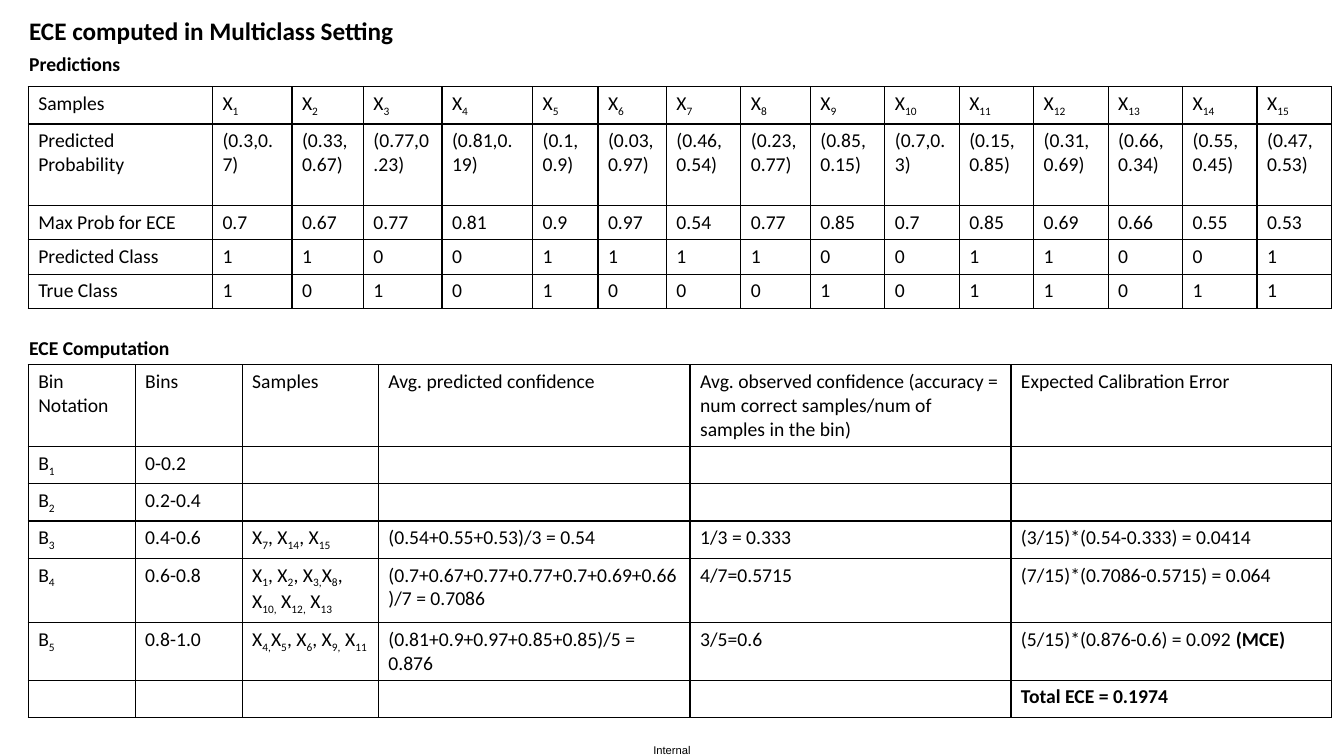
from dataclasses import dataclass

from lxml import etree
from pptx import Presentation
from pptx.dml.color import RGBColor
from pptx.enum.text import MSO_AUTO_SIZE
from pptx.oxml.ns import qn
from pptx.util import Inches, Pt

FIT_SHAPE = MSO_AUTO_SIZE.SHAPE_TO_FIT_TEXT
WIDTH, HEIGHT = Inches(13.33), Inches(7.5)
BLANK_LAYOUT = 6


@dataclass(frozen=True)
class Theme:
    """Colours, fonts and type sizes of the slide."""
    ink: str = "000000"
    font: str = "Calibri"
    footer_font: str = "Arial"
    title: int = 18
    body: int = 14
    footer: int = 8
    border: int = 1


THEME = Theme()

PROBABILITIES = ["0.3,0.7", "0.33,0.67", "0.77,0.23", "0.81,0.19", "0.1,0.9",
                 "0.03,0.97", "0.46,0.54", "0.23,0.77", "0.85,0.15", "0.7,0.3",
                 "0.15,0.85", "0.31,0.69", "0.66,0.34", "0.55,0.45", "0.47,0.53"]
PREDICTIONS = [
    ["Samples", *(f"X[{i}]" for i in range(1, len(PROBABILITIES) + 1))],
    ["Predicted Probability", *(f"({pair})" for pair in PROBABILITIES)],
    ["Max Prob for ECE", *(max(pair.split(",")) for pair in PROBABILITIES)],
    ["Predicted Class", *"110011110011001"],
    ["True Class", *"101010001011011"],
]
PREDICTION_COLS = [1.83, 0.79, 0.71, 0.78, 0.9, 0.65, 0.68, 0.74, 0.69] + [0.74] * 7
PREDICTION_ROWS = [0.37, 0.81, 0.34, 0.34, 0.34]

BINS = [
    ["Bin Notation", "Bins", "Samples", "Avg. predicted confidence",
     "Avg. observed confidence (accuracy = num correct samples/num of samples in the bin)",
     "Expected Calibration Error"],
    ["B[1]", "0-0.2", "", "", "", ""],
    ["B[2]", "0.2-0.4", "", "", "", ""],
    ["B[3]", "0.4-0.6", "X[7], X[14], X[15]", "(0.54+0.55+0.53)/3 = 0.54",
     "1/3 = 0.333", "(3/15)*(0.54-0.333) = 0.0414"],
    ["B[4]", "0.6-0.8", "X[1], X[2], X[3,]X[8], X[10,] X[12,] X[13]",
     "(0.7+0.67+0.77+0.77+0.7+0.69+0.66)/7 = 0.7086",
     "4/7=0.5715", "(7/15)*(0.7086-0.5715) = 0.064"],
    ["B[5]", "0.8-1.0", "X[4,]X[5], X[6], X[9,] X[11]",
     "(0.81+0.9+0.97+0.85+0.85)/5 = 0.876",
     "3/5=0.6", "(5/15)*(0.876-0.6) = 0.092 |(MCE)"],
    ["", "", "", "", "", "|Total ECE = 0.1974"],
]
BIN_COLS = [1.06, 1.06, 1.35, 3.09, 3.18, 3.18]
BIN_ROWS = [0.81, 0.37, 0.37, 0.37, 0.64, 0.57, 0.37]


def place(x, y, w, h):
    """Turn percentages of the slide into a position and size."""
    return [int(side * share / 100)
            for side, share in zip((WIDTH, HEIGHT, WIDTH, HEIGHT), (x, y, w, h))]


def add_run(p, text, size, font, bold, subscript=False):
    """Append one formatted run to a paragraph."""
    r = p.add_run()
    r.text = text
    r.font.size, r.font.name, r.font.bold = Pt(size), font, bold
    r.font.color.rgb = RGBColor.from_string(THEME.ink)
    if subscript:
        r.font._element.set("baseline", "-25000")


def write(tf, text, size=THEME.body, font=THEME.font, bold=False):
    """Write text in which [] marks subscripts and | starts bold."""
    p = tf.paragraphs[0]
    for part, section in enumerate(text.split("|")):
        for i, piece in enumerate(section.replace("]", "[").split("[")):
            if piece:
                add_run(p, piece, size, font, bold or part > 0, i % 2 == 1)
    if not text:
        etree.SubElement(p._p, qn("a:endParaRPr"), sz=str(size * 100))


def add_label(s, box, text, inset=None, **style):
    """Add a text box with one line of text."""
    tf = s.shapes.add_textbox(*place(*box)).text_frame
    tf.word_wrap = True
    tf.auto_size = FIT_SHAPE
    if inset is not None:
        tf.margin_left = tf.margin_right = tf.margin_top = tf.margin_bottom = inset
    write(tf, text, **style)


def outline(cell):
    """Give a cell no fill and a solid border on all sides."""
    cell.fill.background()
    tc_pr = cell._tc.get_or_add_tcPr()
    for i, side in enumerate("LRTB"):
        ln = etree.Element(qn(f"a:ln{side}"), w=str(Pt(THEME.border)))
        fill = etree.SubElement(ln, qn("a:solidFill"))
        etree.SubElement(fill, qn("a:srgbClr"), val=THEME.ink)
        tc_pr.insert(i, ln)


def add_grid(s, box, rows, col_shares, row_shares):
    """Add a bordered table whose columns and rows share out its box."""
    x, y, w, h = place(*box)
    table = s.shapes.add_table(len(rows), len(col_shares), x, y, w, h).table
    table.first_row = table.horz_banding = False
    for col, share in zip(table.columns, col_shares):
        col.width = int(w * share / sum(col_shares))
    for row, share, texts in zip(table.rows, row_shares, rows):
        row.height = int(h * share / sum(row_shares))
        for cell, text in zip(row.cells, texts):
            outline(cell)
            write(cell.text_frame, text)


def main():
    """Build the slide and save it."""
    prs = Presentation()
    prs.slide_width, prs.slide_height = WIDTH, HEIGHT
    s = prs.slides.add_slide(prs.slide_layouts[BLANK_LAYOUT])
    add_label(s, (48.61, 98.27, 3, 1.73), "Internal", inset=0,
              size=THEME.footer, font=THEME.footer_font)
    add_label(s, (1.43, 43.73, 25.5, 4.53), "ECE Computation", bold=True)
    add_label(s, (1.43, 1.33, 36.76, 5.33), "ECE computed in Multiclass Setting",
              size=THEME.title, bold=True)
    add_label(s, (1.43, 6.27, 18.83, 4.53), "Predictions", bold=True)
    add_grid(s, (2.1, 11.47, 97, 29.33), PREDICTIONS, PREDICTION_COLS, PREDICTION_ROWS)
    add_grid(s, (2.1, 48.27, 97, 46.67), BINS, BIN_COLS, BIN_ROWS)
    prs.save("out.pptx")


if __name__ == "__main__":
    main()
